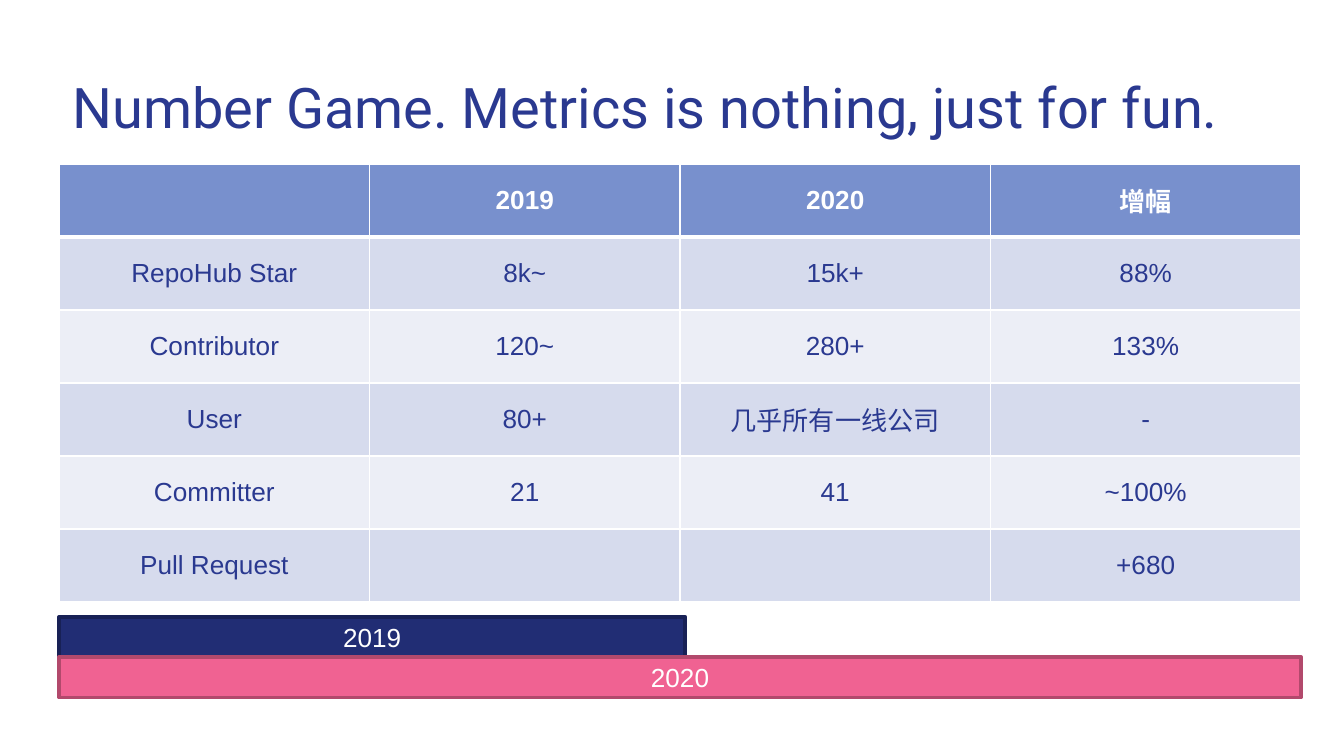
"""Build a slide comparing project metrics for 2019 and 2020."""
from lxml import etree
from pptx import Presentation
from pptx.dml.color import RGBColor
from pptx.enum.shapes import MSO_SHAPE
from pptx.enum.text import MSO_ANCHOR, PP_ALIGN
from pptx.oxml.ns import qn
from pptx.util import Inches, Pt

RECTANGLE = MSO_SHAPE.RECTANGLE
MIDDLE, TOP = MSO_ANCHOR.MIDDLE, MSO_ANCHOR.TOP
CENTER, LEFT = PP_ALIGN.CENTER, PP_ALIGN.LEFT

COLORS = {
    "white": "FFFFFF",
    "ink": "2A3990",
    "header": "7890CD",
    "odd_row": "D6DBED",
    "even_row": "ECEEF6",
    "navy": "212D74",
    "navy_edge": "182156",
    "pink": "F06292",
    "pink_edge": "B2496C",
}
METRICS = [
    ["", "2019", "2020", "增幅"],
    ["RepoHub Star", "8k~", "15k+", "88%"],
    ["Contributor", "120~", "280+", "133%"],
    ["User", "80+", "几乎所有一线公司", "-"],
    ["Committer", "21", "41", "~100%"],
    ["Pull Request", "", "", "+680"],
]
SLIDE_WIDTH = Inches(10)
SLIDE_HEIGHT = SLIDE_WIDTH * 9 // 16
MARGIN = Inches(0.44)
TABLE_TOP = Inches(1.22)
TABLE_WIDTH, TABLE_HEIGHT = Inches(9.24), Inches(3.26)
COLUMN = TABLE_WIDTH // len(METRICS[0])
ROW = TABLE_HEIGHT // len(METRICS)
BARS_TOP, BAR_HEIGHT = Inches(4.59), Inches(0.3)


def rgb(name):
    return RGBColor.from_string(COLORS[name])


def write(frame, text, color, size=14, font="Arial", bold=False, align=CENTER):
    paragraph = frame.paragraphs[0]
    paragraph.alignment = align
    run = paragraph.add_run()
    run.text = text
    run.font.name = font
    run.font.size = Pt(size)
    run.font.bold = bold
    run.font.color.rgb = rgb(color)


prs = Presentation()
prs.slide_width, prs.slide_height = SLIDE_WIDTH, SLIDE_HEIGHT
slide = prs.slides.add_slide(prs.slide_layouts[6])

bars = [
    ("2019", Inches(4.66), "navy", "navy_edge"),
    ("2020", TABLE_WIDTH, "pink", "pink_edge"),
]
for index, (year, width, fill, edge) in enumerate(bars):
    bar = slide.shapes.add_shape(
        RECTANGLE, MARGIN, BARS_TOP + index * BAR_HEIGHT, width, BAR_HEIGHT
    )
    bar.shadow.inherit = False
    bar.fill.solid()
    bar.fill.fore_color.rgb = rgb(fill)
    bar.line.color.rgb = rgb(edge)
    bar.line.width = Pt(2)
    bar.text_frame.vertical_anchor = MIDDLE
    write(bar.text_frame, year, "white")

metrics_table = slide.shapes.add_table(
    len(METRICS), len(METRICS[0]), MARGIN, TABLE_TOP, TABLE_WIDTH, TABLE_HEIGHT
).table
for column in metrics_table.columns:
    column.width = COLUMN
for row in metrics_table.rows:
    row.height = ROW

for row_index, values in enumerate(METRICS):
    is_header = row_index == 0
    row_fill = "header" if is_header else ("even_row", "odd_row")[row_index % 2]
    for column_index, value in enumerate(values):
        cell = metrics_table.cell(row_index, column_index)
        cell.vertical_anchor = MIDDLE
        properties = cell._tc.get_or_add_tcPr()
        for side in "LRTB":
            thick = (is_header and side == "B") or (row_index == 1 and side == "T")
            border = etree.SubElement(
                properties, qn(f"a:ln{side}"), w=str(Pt(3 if thick else 1))
            )
            border_fill = etree.SubElement(border, qn("a:solidFill"))
            etree.SubElement(border_fill, qn("a:srgbClr"), val=COLORS["white"])
        cell.fill.solid()
        cell.fill.fore_color.rgb = rgb(row_fill)
        if value:
            text_color = "white" if is_header else "ink"
            write(cell.text_frame, value, text_color, bold=is_header)

title = slide.shapes.add_textbox(MARGIN, MARGIN, Inches(9.32), Inches(0.66)).text_frame
title.word_wrap = True
title.vertical_anchor = TOP
title.margin_left = title.margin_right = Inches(0.1)
title.margin_top = title.margin_bottom = Inches(0.1)
write(
    title,
    "Number Game. Metrics is nothing, just for fun.",
    "ink",
    size=30,
    font="Roboto",
    align=LEFT,
)

prs.save("out.pptx")
